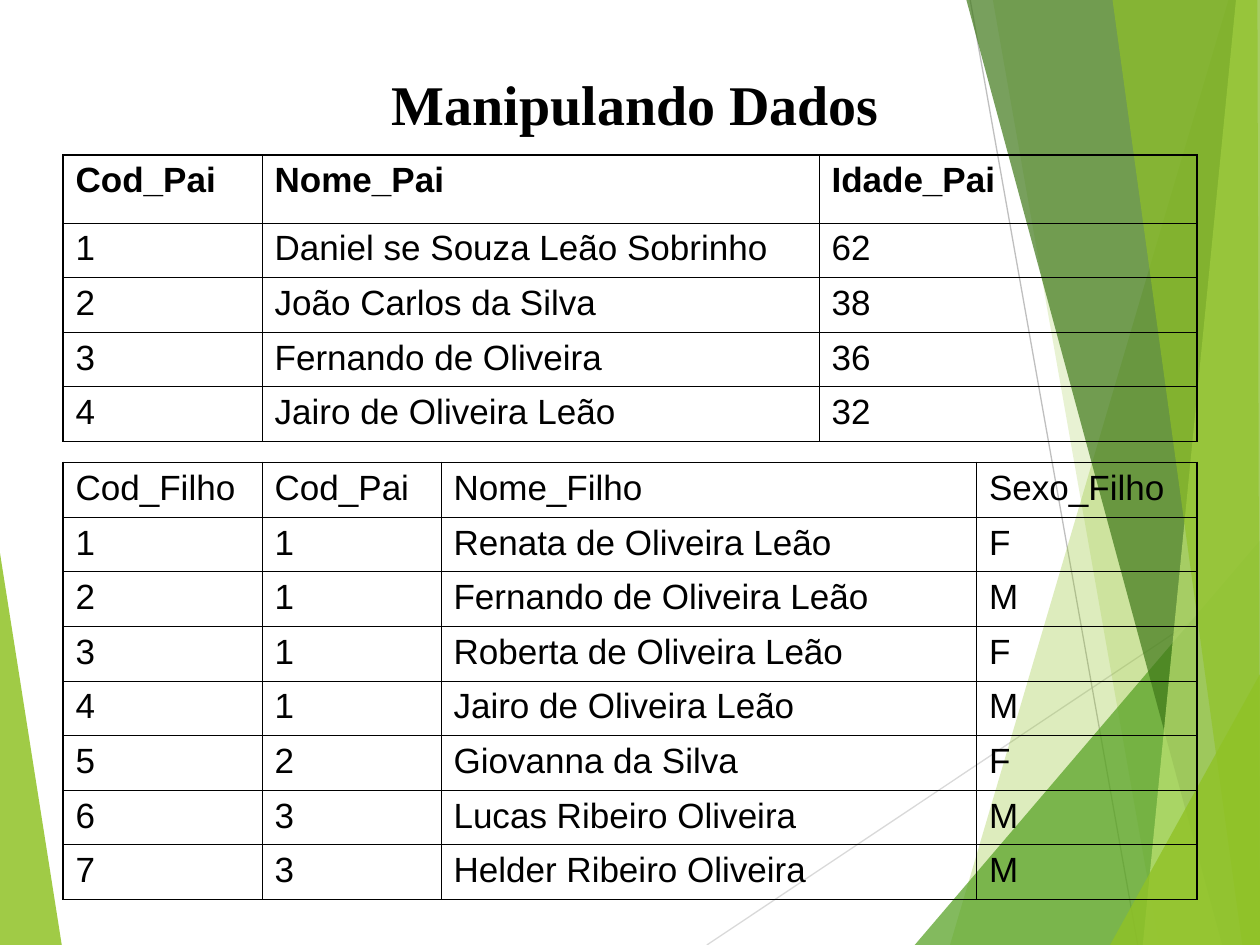
from lxml import etree
from pptx import Presentation, util as u
from pptx.dml.color import RGBColor
from pptx.enum import shapes, text
from pptx.oxml import ns


def tint(code):
    return RGBColor.from_string(code)


class Board:
    ink = "000000"
    thick, thin = 1.08, 0.45

    def __init__(self, deck):
        self.slide = deck.slides.add_slide(deck.slide_layouts[5])
        self.items = self.slide.shapes

    def label(self, frame, words, face, size, bold, align):
        frame.word_wrap = True
        frame.vertical_anchor = text.MSO_ANCHOR.TOP
        para = frame.paragraphs[0]
        para.alignment = align
        run = para.add_run()
        run.text = words
        font = run.font
        font.name, font.size, font.bold = face, u.Pt(size), bold
        font.color.rgb = tint(self.ink)

    def title(self, words, left, top, width, height):
        box = self.items.title
        box.left, box.top = u.Inches(left), u.Inches(top)
        box.width, box.height = u.Inches(width), u.Inches(height)
        box.text_frame.auto_size = text.MSO_AUTO_SIZE.NONE
        self.label(box.text_frame, words, "Times New Roman", 32, True, text.PP_ALIGN.CENTER)

    def shard(self, points, color, alpha):
        spots = [(u.Inches(x), u.Inches(y)) for x, y in points]
        pen = self.items.build_freeform(*spots[0])
        pen.add_line_segments(spots[1:], close=True)
        shape = pen.convert_to_shape()
        shape.shadow.inherit = False
        shape.line.fill.background()
        shape.fill.solid()
        shape.fill.fore_color.rgb = tint(color)
        fill = shape._element.spPr.find(ns.qn("a:solidFill"))
        etree.SubElement(fill[0], ns.qn("a:alpha"), val=str(alpha * 1000))

    def line(self, start, end, color):
        ends = [u.Inches(n) for n in start + end]
        line = self.items.add_connector(shapes.MSO_CONNECTOR.STRAIGHT, *ends)
        line.line.color.rgb = tint(color)
        line.line.width = u.Pt(0.75)
        etree.SubElement(line._element.spPr, ns.qn("a:effectLst"))

    def edge(self, cell, side, width):
        props = cell._tc.get_or_add_tcPr()
        edge = etree.SubElement(props, ns.qn("a:ln" + side), w=str(u.Pt(width)))
        fill = etree.SubElement(edge, ns.qn("a:solidFill"))
        etree.SubElement(fill, ns.qn("a:srgbClr"), val=self.ink)

    def table(self, top, widths, heights, rows, bold=False):
        area = [u.Inches(n) for n in (0.5, top, sum(widths), sum(heights))]
        grid = self.items.add_table(len(rows), len(widths), *area).table
        grid.first_row = grid.horz_banding = False
        for col, width in zip(grid.columns, widths):
            col.width = u.Inches(width)
        for row, height in zip(grid.rows, heights):
            row.height = u.Inches(height)
        for r, row in enumerate(rows):
            for c, words in enumerate(row):
                cell = grid.cell(r, c)
                outer = {
                    "L": c == 0,
                    "R": c == len(widths) - 1,
                    "T": r == 0,
                    "B": r == len(rows) - 1,
                }
                for side, rim in outer.items():
                    self.edge(cell, side, self.thick if rim else self.thin)
                cell.fill.background()
                self.label(cell.text_frame, words, "Arial", 20, bold and r == 0, text.PP_ALIGN.LEFT)


LINES = [
    ((5.61, 7.5), (10, 4.57), "D9D9D9"),
    ((7.7, 0), (9.03, 7.5), "BFBFBF"),
]
LEAF = [(0, 4.39), (0.49, 7.5), (0, 7.5)]
SHARDS = [
    ([(9.75, 0), (7.54, 7.5), (10, 7.5), (10, 0)], "90C226", 30),
    ([(7.88, 0), (9.2, 7.5), (10, 7.5), (10, 0)], "90C226", 20),
    ([(7.26, 7.5), (10, 4.29), (10, 7.5)], "54A021", 72),
    ([(7.67, 0), (9.7, 7.5), (10, 7.5), (10, 0)], "3F7819", 70),
    ([(9.81, 0), (9.07, 7.5), (10, 7.5), (10, 0)], "C0E474", 70),
    ([(8.83, 0), (9.86, 7.5), (10, 7.5), (9.98, 0)], "90C226", 65),
    ([(8.81, 7.5), (10, 5.35), (10, 7.5)], "90C226", 80),
]
DADS = [
    ("Cod_Pai", "Nome_Pai", "Idade_Pai"),
    ("1", "Daniel se Souza Leão Sobrinho", "62"),
    ("2", "João Carlos da Silva", "38"),
    ("3", "Fernando de Oliveira", "36"),
    ("4", "Jairo de Oliveira Leão", "32"),
]
KIDS = [
    ("Cod_Filho", "Cod_Pai", "Nome_Filho", "Sexo_Filho"),
    ("1", "1", "Renata de Oliveira Leão", "F"),
    ("2", "1", "Fernando de Oliveira Leão", "M"),
    ("3", "1", "Roberta de Oliveira Leão", "F"),
    ("4", "1", "Jairo de Oliveira Leão", "M"),
    ("5", "2", "Giovanna da Silva", "F"),
    ("6", "3", "Lucas Ribeiro Oliveira", "M"),
    ("7", "3", "Helder Ribeiro Oliveira", "M"),
]


def main():
    deck = Presentation()
    deck.slide_width, deck.slide_height = u.Inches(10), u.Inches(7.5)
    board = Board(deck)
    board.shard(LEAF, "90C226", 85)
    for start, end, color in LINES:
        board.line(start, end, color)
    for points, color, alpha in SHARDS:
        board.shard(points, color, alpha)
    board.title("Manipulando Dados", 0.42, 0.5, 9.25, 0.64)
    step = 3.47 / len(KIDS)
    board.table(1.23, [1.58, 4.42, 3], [0.54] + [step] * 4, DADS, bold=True)
    board.table(3.67, [1.58, 1.42, 4.25, 1.75], [step] * len(KIDS), KIDS)
    deck.save("out.pptx")


if __name__ == "__main__":
    main()
